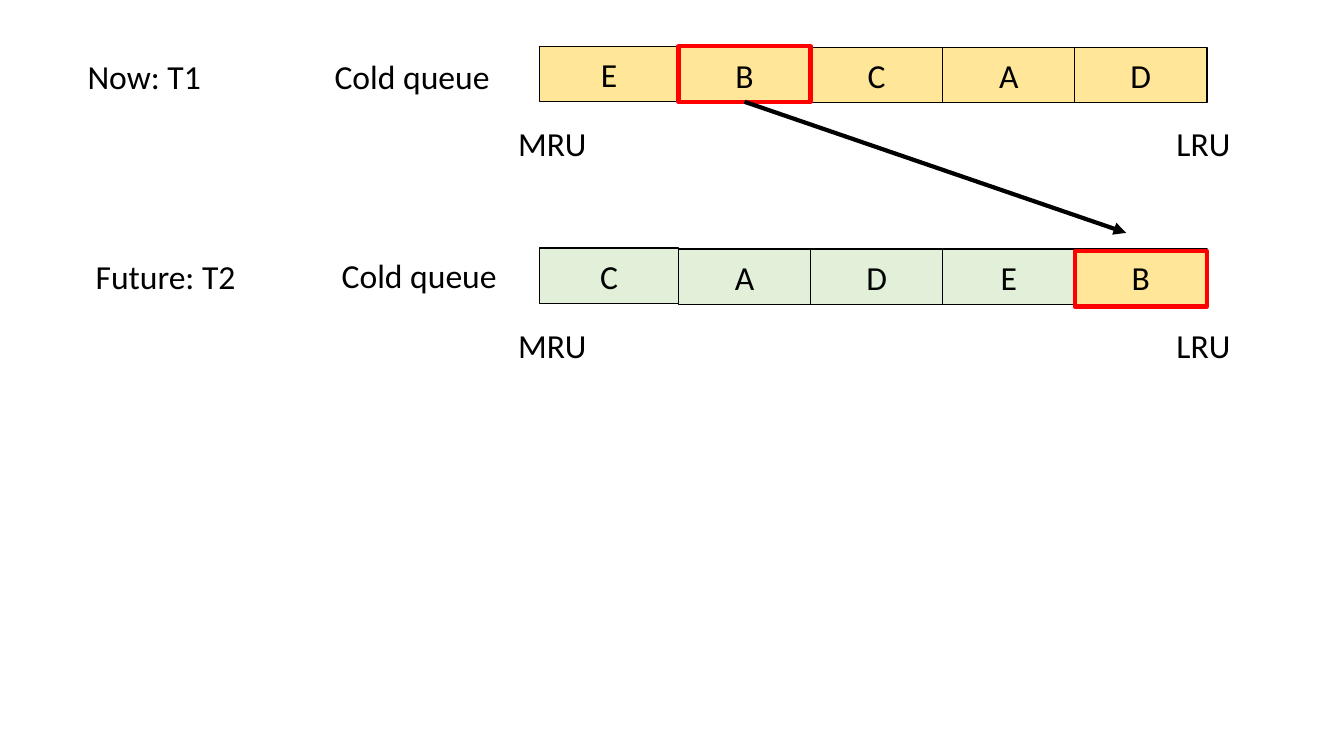
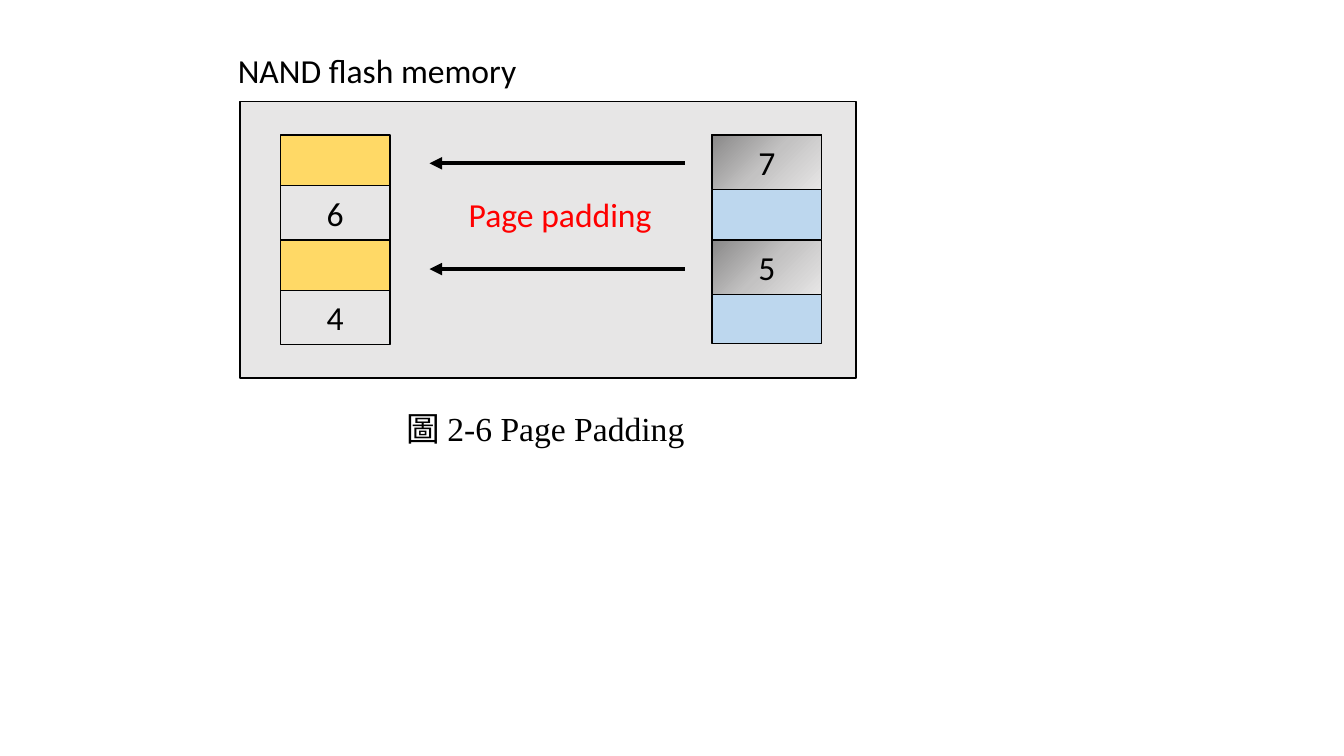
"""Builds two slides on cold queue ordering and page padding in flash memory."""
import copy

import pptx
import pptx.dml.color
import pptx.enum.dml
import pptx.enum.shapes
import pptx.enum.text
import pptx.oxml.ns
import pptx.util
from pptx.util import Inches

RGBColor = pptx.dml.color.RGBColor
BLACK = RGBColor(0x00, 0x00, 0x00)
RED = RGBColor(0xFF, 0x00, 0x00)
CREAM = RGBColor(0xFF, 0xE6, 0x99)
GREEN = RGBColor(0xE2, 0xF0, 0xD9)
GOLD = RGBColor(0xFF, 0xD9, 0x66)
BLUE = RGBColor(0xBD, 0xD7, 0xEE)
GRAY = RGBColor(0xE7, 0xE6, 0xE6)
SHADE = (RGBColor(0x89, 0x88, 0x88), RGBColor(0xC3, 0xC2, 0xC2), GRAY)

BODY_FONT = "Calibri"
CAPTION_FONT = "Times New Roman"
CJK_FONT = "Noto Sans CJK SC"

QUEUE_LEFT, HEAD_W, CELL_W, CELL_H = 5.35, 1.38, 1.31, 0.55
STACK_TOP, PAGE_W, PAGE_H, PAGE_STEP = 1.34, 1.09, 0.54, 1.04


class Deck:
    def __init__(self):
        self.prs = pptx.Presentation()
        self.prs.slide_width = Inches(13.33)
        self.prs.slide_height = Inches(7.5)
        self.slide = None

    def new_slide(self):
        self.slide = self.prs.slides.add_slide(self.prs.slide_layouts[6])

    def style_run(self, r, font=BODY_FONT, color=BLACK):
        r.font.size = pptx.util.Pt(24)
        r.font.name = font
        r.font.color.rgb = color
        if font == CJK_FONT:
            ea = pptx.oxml.parse_xml(
                f'<a:ea {pptx.oxml.ns.nsdecls("a")} typeface="{font}"/>')
            r.font._element.find(pptx.oxml.ns.qn("a:latin")).addnext(ea)

    def label(self, left, top, width, *parts, color=BLACK):
        sp = self.slide.shapes.add_textbox(
            Inches(left), Inches(top), Inches(width), Inches(0.5))
        tf = sp.text_frame
        tf.word_wrap = True
        tf.auto_size = pptx.enum.text.MSO_AUTO_SIZE.SHAPE_TO_FIT_TEXT
        for text, font in parts:
            r = tf.paragraphs[0].add_run()
            r.text = text
            self.style_run(r, font, color)

    def text(self, left, top, width, text, color=BLACK):
        self.label(left, top, width, (text, BODY_FONT), color=color)

    def box(self, left, top, width, height, fill=None, text="", line=BLACK, weight=1):
        sp = self.slide.shapes.add_shape(
            pptx.enum.shapes.MSO_SHAPE.RECTANGLE,
            Inches(left), Inches(top), Inches(width), Inches(height))
        sp.shadow.inherit = False
        sp.line.color.rgb = line
        sp.line.width = pptx.util.Pt(weight)
        if fill is None:
            sp.fill.background()
        elif fill is SHADE:
            self.shade(sp)
        else:
            sp.fill.solid()
            sp.fill.fore_color.rgb = fill
        if text:
            tf = sp.text_frame
            tf.text = text
            tf.vertical_anchor = pptx.enum.text.MSO_ANCHOR.MIDDLE
            p = tf.paragraphs[0]
            p.alignment = pptx.enum.text.PP_ALIGN.CENTER
            self.style_run(p.runs[0])
        return sp

    def shade(self, sp):
        sp.fill.gradient()
        sp.fill.gradient_angle = 315
        first = sp._element.spPr.find(".//" + pptx.oxml.ns.qn("a:gs"))
        first.addnext(copy.deepcopy(first))
        for i, (stop, color) in enumerate(zip(sp.fill.gradient_stops, SHADE)):
            stop.position = i / 2
            stop.color.rgb = color

    def frame(self, left, top):
        return self.box(left, top, CELL_W, CELL_H, line=RED, weight=3)

    def arrow(self, x1, y1, x2, y2, start=None):
        cxn = self.slide.shapes.add_connector(
            pptx.enum.shapes.MSO_CONNECTOR.STRAIGHT,
            Inches(x1), Inches(y1), Inches(x2), Inches(y2))
        if start is not None:
            cxn.begin_connect(start, 2)
        cxn.line.color.rgb = BLACK
        cxn.line.width = pptx.util.Pt(3)
        ns = pptx.oxml.ns.nsdecls("a")
        cxn.line._get_or_add_ln().append(
            pptx.oxml.parse_xml(f'<a:tailEnd {ns} type="triangle"/>'))
        cxn._element.spPr.append(pptx.oxml.parse_xml(f"<a:effectLst {ns}/>"))

    def queue(self, top, names, fills):
        left = QUEUE_LEFT
        for i, (name, fill) in enumerate(zip(names, fills)):
            width = CELL_W if i else HEAD_W
            self.box(left, top + (0.01 if i else 0), width, CELL_H, fill, name)
            left += width
        self.text(5.04, top + 0.71, 1, "MRU")
        self.text(11.57, top + 0.71, 1, "LRU")

    def stack(self, left, base, offset, fill, pages):
        self.box(left, STACK_TOP, PAGE_W, 2.07, base)
        for i, page in enumerate(pages):
            self.box(left, STACK_TOP + offset + i * PAGE_STEP,
                     PAGE_W, PAGE_H, fill, page)


def queue_slide(deck):
    deck.new_slide()
    deck.text(0.77, 0.51, 2.14, "Now: T1")
    deck.text(3.22, 0.51, 2.14, "Cold queue")
    deck.text(0.85, 2.49, 2.14, "Future: T2")
    deck.text(3.29, 2.48, 2.14, "Cold queue")
    deck.queue(0.46, "EBCAD", [CREAM] * 5)
    deck.queue(2.46, "CADEB", [GREEN] * 4 + [CREAM])
    second = QUEUE_LEFT + HEAD_W
    moved = deck.frame(second, 0.46)
    deck.arrow(7.39, 1.01, 11.17, 2.31, start=moved)
    deck.frame(second + 3 * CELL_W, 2.49)


def padding_slide(deck):
    deck.new_slide()
    deck.box(2.38, 1.01, 6.11, 2.74, GRAY)
    deck.stack(2.78, GOLD, 0.5, GRAY, "64")
    deck.stack(7.06, BLUE, 0, SHADE, "75")
    for y in (1.62, 2.67):
        deck.arrow(6.79, y, 4.26, y)
    deck.text(4.55, 1.87, 2.11, "Page padding", RED)
    deck.label(3.93, 4, 3.19, ("圖 ", CJK_FONT), ("2-6 Page Padding", CAPTION_FONT))
    deck.text(2.26, 0.45, 3.18, "NAND flash memory")


def main():
    deck = Deck()
    queue_slide(deck)
    padding_slide(deck)
    deck.prs.save("out.pptx")


if __name__ == "__main__":
    main()
